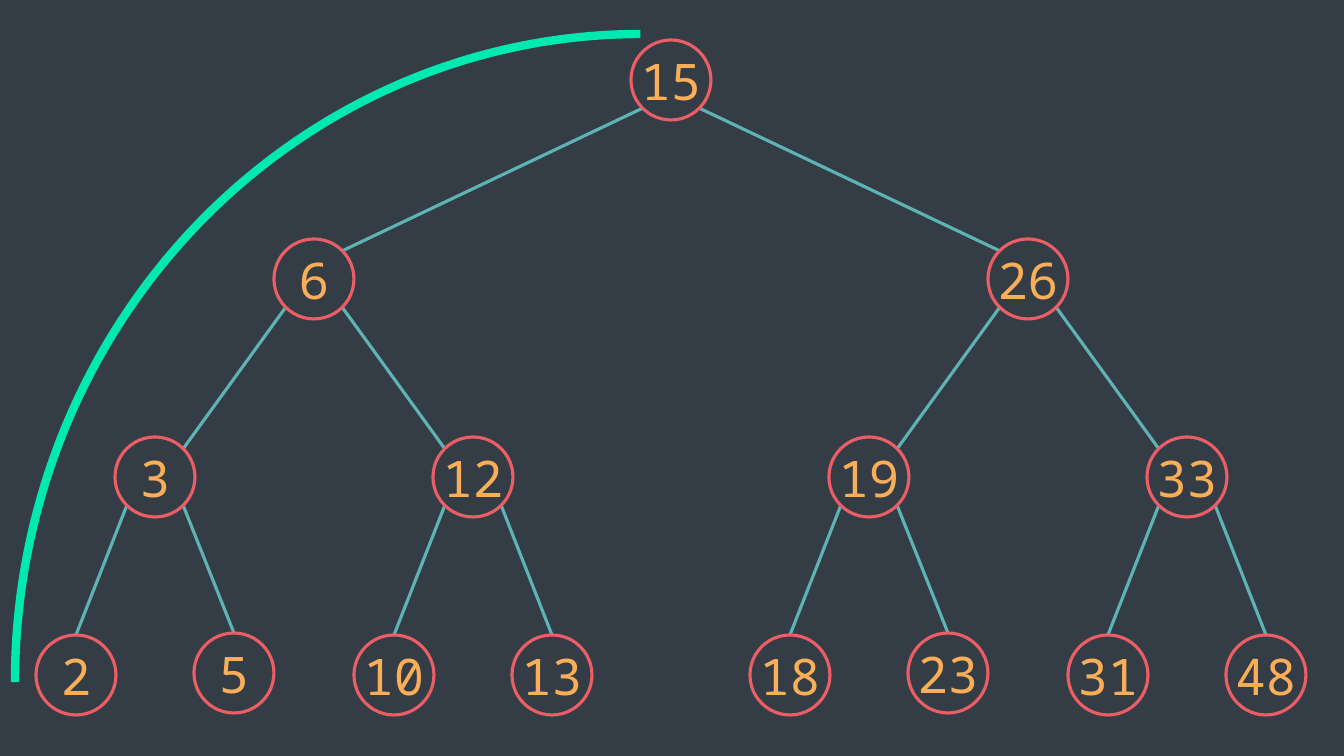
import dataclasses
import math
import typing

import pptx
import pptx.dml.color
import pptx.enum.shapes
import pptx.enum.text
import pptx.oxml.ns
import pptx.util
from lxml import etree

PX = 914400 / 100.8  # EMU in one px


@dataclasses.dataclass(frozen=True)
class Theme:
    background: str = "343D46"
    ring: str = "EC5E66"
    edge: str = "5EB4B4"
    key: str = "F9AE57"
    sweep: str = "00E9B1"
    font: str = "Noto Sans Mono"
    key_size: float = 36
    line_width: float = 2.25
    sweep_width: float = 6


@dataclasses.dataclass(frozen=True)
class Node:
    key: int
    x: int
    y: int
    level: int


THEME = Theme()
WIDTH, HEIGHT = 1344, 756
RADIUS = 40
DIAGONAL = round(RADIUS / math.sqrt(2))

# Tree in level order: node i has its children at 2i + 1 and 2i + 2
KEYS = [15, 6, 26, 3, 12, 19, 33, 2, 5, 10, 13, 18, 23, 31, 48]
ROOT_X = 671
CHILD_OFFSETS = [357, 159, 79]
LEVEL_YS = [80, 279, 477, 675]
RAISED = {5: 2, 23: 2}  # leaves set slightly higher


def emu(px: float) -> pptx.util.Emu:
    return pptx.util.Emu(round(px * PX))


def rgb(color: str) -> pptx.dml.color.RGBColor:
    return pptx.dml.color.RGBColor.from_string(color)


def set_line(line: typing.Any, color: str, width: float) -> None:
    line.color.rgb = rgb(color)
    line.width = pptx.util.Pt(width)


def write(tf: typing.Any, text: str, *, size: float, color: str, font: str) -> None:
    tf.word_wrap = False
    tf.vertical_anchor = pptx.enum.text.MSO_ANCHOR.MIDDLE
    p = tf.paragraphs[0]
    p.alignment = pptx.enum.text.PP_ALIGN.CENTER
    r = p.add_run()
    r.text = text
    r.font.name = font
    r.font.size = pptx.util.Pt(size)
    r.font.color.rgb = rgb(color)


def build_tree() -> list[Node]:
    nodes: list[Node] = []
    for i, key in enumerate(KEYS):
        level = (i + 1).bit_length() - 1
        x = ROOT_X
        if i:
            side = -1 if i % 2 else 1
            x = nodes[(i - 1) // 2].x + side * CHILD_OFFSETS[level - 1]
        nodes.append(Node(key, x, LEVEL_YS[level] - RAISED.get(key, 0), level))
    return nodes


def draw_edge(s: typing.Any, parent: Node, child: Node) -> None:
    side = 1 if child.x > parent.x else -1
    leaf = child.level == len(LEVEL_YS) - 1
    end_x = child.x if leaf else child.x - side * DIAGONAL
    end_y = child.y - (RADIUS if leaf else DIAGONAL)
    edge = s.shapes.add_connector(
        pptx.enum.shapes.MSO_CONNECTOR.STRAIGHT,
        emu(parent.x + side * DIAGONAL), emu(parent.y + DIAGONAL),
        emu(end_x), emu(end_y),
    )
    set_line(edge.line, THEME.edge, THEME.line_width)
    etree.SubElement(edge.element.spPr, pptx.oxml.ns.qn("a:effectLst"))


def draw_node(s: typing.Any, node: Node) -> None:
    sp = s.shapes.add_shape(
        pptx.enum.shapes.MSO_SHAPE.OVAL,
        emu(node.x - RADIUS), emu(node.y - RADIUS), emu(2 * RADIUS), emu(2 * RADIUS),
    )
    sp.shadow.inherit = False
    sp.fill.solid()
    sp.fill.fore_color.rgb = rgb(THEME.background)
    set_line(sp.line, THEME.ring, THEME.line_width)
    write(sp.text_frame, str(node.key),
          size=THEME.key_size, color=THEME.key, font=THEME.font)


def draw_sweep(s: typing.Any, x: int, y: int, width: int, height: int) -> None:
    sp = s.shapes.add_shape(
        pptx.enum.shapes.MSO_SHAPE.ARC, emu(x), emu(y), emu(width), emu(height)
    )
    sp.element.spPr.xfrm.set("flipH", "1")
    sp.shadow.inherit = False
    sp.fill.background()
    set_line(sp.line, THEME.sweep, THEME.sweep_width)


def main() -> None:
    prs = pptx.Presentation()
    prs.slide_width, prs.slide_height = emu(WIDTH), emu(HEIGHT)
    s = prs.slides.add_slide(prs.slide_layouts[6])
    s.background.fill.solid()
    s.background.fill.fore_color.rgb = rgb(THEME.background)

    # Edges lie behind the nodes
    nodes = build_tree()
    for i, child in enumerate(nodes[1:], start=1):
        draw_edge(s, nodes[(i - 1) // 2], child)
    for node in nodes:
        draw_node(s, node)

    # Arc along the left side of the tree
    draw_sweep(s, 15, 34, 1251, 1296)

    prs.save("out.pptx")


if __name__ == "__main__":
    main()
